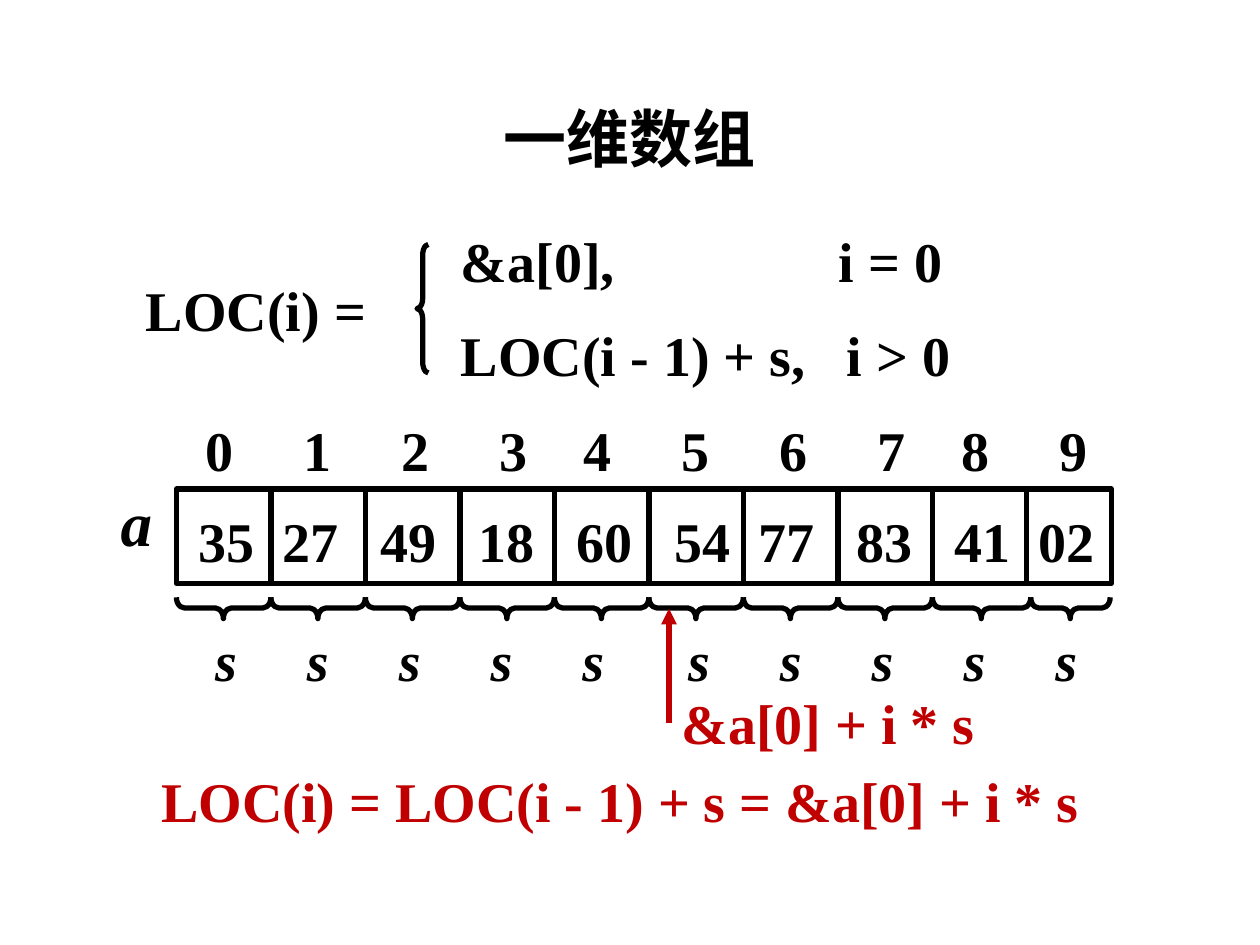
from dataclasses import dataclass
from itertools import accumulate, pairwise

from lxml.etree import SubElement
from pptx import Presentation
from pptx.dml.color import RGBColor
from pptx.enum.shapes import MSO_CONNECTOR as Connector, MSO_SHAPE as Shape
from pptx.enum.text import MSO_ANCHOR as Anchor, PP_ALIGN as Align
from pptx.oxml.ns import qn
from pptx.util import Pt


@dataclass(frozen=True)
class Theme:
    black: RGBColor = RGBColor(0, 0, 0)
    red: RGBColor = RGBColor(0xC0, 0, 0)
    latin: str = "Times New Roman"
    chinese: str = "Noto Sans CJK SC"
    title_size: int = 36
    body_size: int = 32
    stroke: int = 3


def write_text(frame, text, *, font, size, color, italic=False, stops=(),
               align=Align.LEFT, anchor=Anchor.BOTTOM):
    """Fill a text frame with one bold paragraph; stops are tab positions."""
    frame.word_wrap = True
    frame.vertical_anchor = anchor
    paragraph = frame.paragraphs[0]
    paragraph.alignment = align
    if stops:
        tabs = SubElement(paragraph._p.get_or_add_pPr(), qn("a:tabLst"))
        for stop in stops:
            SubElement(tabs, qn("a:tab"), pos=str(int(Pt(stop))), algn="l")
    run = paragraph.add_run()
    run.text = text
    run.font.name, run.font.size = font, Pt(size)
    run.font.bold, run.font.italic = True, italic
    run.font.color.rgb = color
    SubElement(run._r.get_or_add_rPr(), qn("a:ea"), typeface=font)
    return paragraph


class Board:
    def __init__(self, slide, theme):
        self.slide, self.theme = slide, theme

    def title(self, text, left, top, width, height):
        shape = self.slide.shapes.title
        shape.left, shape.top = Pt(left), Pt(top)
        shape.width, shape.height = Pt(width), Pt(height)
        paragraph = write_text(
            shape.text_frame, text, font=self.theme.chinese,
            size=self.theme.title_size, color=self.theme.black,
            align=Align.CENTER, anchor=Anchor.MIDDLE)
        paragraph.line_spacing = 0.9

    def text(self, text, left, top, width, height=46, *, size=None,
             color=None, **formatting):
        box = self.slide.shapes.add_textbox(
            Pt(left), Pt(top), Pt(width), Pt(height))
        write_text(box.text_frame, text, font=self.theme.latin,
                   size=size or self.theme.body_size,
                   color=color or self.theme.black, **formatting)

    def row(self, items, left, top, width, pitches, **formatting):
        """Write items on one line, each one pitch after the previous."""
        self.text("\t".join(items), left, top, width,
                  stops=list(accumulate(pitches)), **formatting)

    def outline(self, kind, left, top, width, height, adjustments=()):
        shape = self.slide.shapes.add_shape(
            kind, Pt(left), Pt(top), Pt(width), Pt(height))
        shape.shadow.inherit = False
        shape.fill.background()
        shape.line.color.rgb = self.theme.black
        shape.line.width = Pt(self.theme.stroke)
        for index, value in enumerate(adjustments):
            shape.adjustments[index] = value
        return shape

    def under_brace(self, start, end, middle, depth):
        """Lay a left brace on its side below the span from start to end."""
        span = end - start
        brace = self.outline(Shape.LEFT_BRACE, (start + end - depth) / 2,
                             middle - span / 2, depth, span, (0.375, 0.497))
        brace.rotation = 270

    def line(self, x, start, end, color=None, arrow=False):
        connector = self.slide.shapes.add_connector(
            Connector.STRAIGHT, Pt(x), Pt(start), Pt(x), Pt(end))
        connector.line.color.rgb = color or self.theme.black
        connector.line.width = Pt(self.theme.stroke)
        if arrow:
            SubElement(connector.line._get_or_add_ln(), qn("a:tailEnd"),
                       type="triangle")
        SubElement(connector._element.spPr, qn("a:effectLst"))


def main():
    presentation = Presentation()
    presentation.slide_width, presentation.slide_height = Pt(720), Pt(540)
    slide = presentation.slides.add_slide(presentation.slide_layouts[5])
    theme = Theme()
    board = Board(slide, theme)
    board.title("一维数组", 49.7, 28.8, 620.6, 104.4)

    # Array cells
    left, top, cell, height = 100.8, 279.4, 54, 54
    values = ["35", "27", "49", "18", "60", "54", "77", "83", "41", "02"]
    count = len(values)
    board.outline(Shape.RECTANGLE, left, top, 534.2, height)
    for index in range(1, count):
        board.line(left + index * cell, top, top + height)
    board.row(values, 106.6, 285.1, 531.4,
              [48, 56, 56, 56, 56, 48, 56, 56, 48])

    # Indexes above and element sizes below
    board.row([str(index) for index in range(count)], 110.3, 233.3, 532,
              [56, 56, 56, 48, 56, 56, 56, 48, 56])
    edges = [left + index * cell for index in range(count - 1)] + [589, 634.4]
    for start, end in pairwise(edges):
        board.under_brace(start, end, 347.4, 12.2)
    board.row(["s"] * count, 115.9, 353.5, 530.6,
              [52.45] * 4 + [60.45] + [52.45] * 4, italic=True)
    board.text("a", 61.9, 272.9, 32.4, 50.4, size=theme.title_size,
               italic=True)

    # Recursive definition of the location
    board.text("LOC(i) =", 76.3, 153.4, 162)
    board.outline(Shape.LEFT_BRACE, 238.3, 139.7, 6.5, 73.4, (0.926, 0.5))
    board.text("&a[0],\ti = 0", 256.3, 125.3, 340.6, stops=[216])
    board.text("LOC(i - 1) + s,\ti > 0", 256.3, 179.3, 414, stops=[220.5])

    # Address of element i and closed formula
    board.line(382.3, 413.3, 347.8, theme.red, arrow=True)
    board.text("&a[0] + i * s", 382.3, 389.5, 187.2, color=theme.red)
    board.text("LOC(i) = LOC(i - 1) + s = &a[0] + i * s", 85, 434.2, 553.7,
               color=theme.red)

    presentation.save("out.pptx")


if __name__ == "__main__":
    main()
